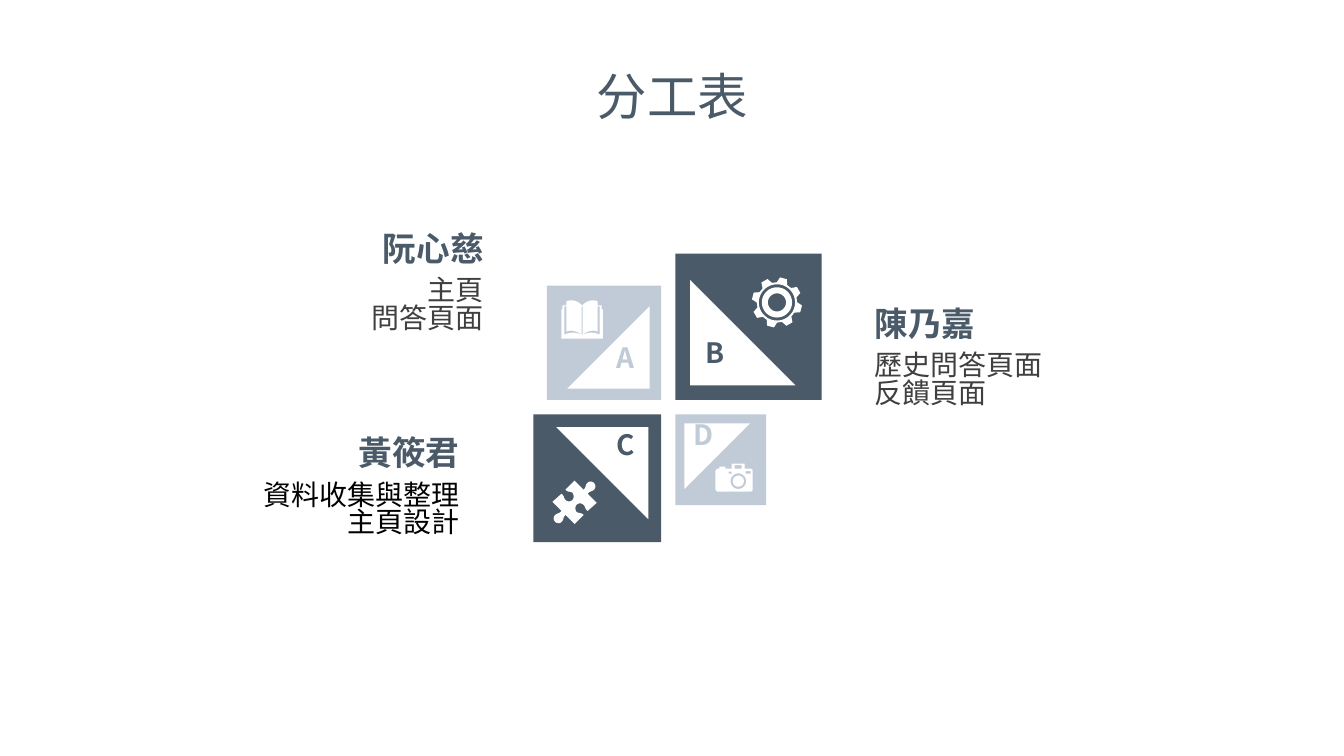
import math
from dataclasses import dataclass

from pptx import Presentation
from pptx import util as u
from pptx.dml.color import RGBColor
from pptx.enum import shapes, text
from pptx.oxml.ns import qn


@dataclass(frozen=True)
class Theme:
    """Colours, type sizes and spacing of the slide."""

    slate: str = "4A5A69"
    mist: str = "C1CBD7"
    paper: str = "FFFFFF"
    grey: str = "3F3F3F"
    black: str = "000000"
    font: str = "Noto Sans CJK SC"
    title: int = 36
    name: int = 24
    body: int = 20
    leading: float = 0.83


THEME = Theme()
HUB_X, HUB_Y, HALF_GAP = 16.84, 10.26, 0.18
UNIT = u.Cm(2.54) / 100
LEFT, RIGHT, CENTER = text.PP_ALIGN.LEFT, text.PP_ALIGN.RIGHT, text.PP_ALIGN.CENTER

PUZZLE_HALF = [
    (19, -19.5), (21, -17.5, 21, -15.5, 20, -13.5), (18, -10.5, 15, -11.5, 13, -8.5),
    (22, 0.5), (13, 8.5), (10, 6.5, 11, 4.5, 9, 2.5), (7, 0.5, 4, 0.5, 2, 2.5),
    (1, 3.5, 0, 6.5, 2, 9.5), (5, 11.5, 6, 9.5, 9, 12.5), (0, 21.5), (-9, 12.5),
    (-12, 15.5, -10, 16.5, -13, 19.5), (-15, 21.5, -18, 20.5, -19, 19.5),
]
BOOK_COVER_HALF = [
    (0, 5), (3, 2, 6, 0, 10.5, 0), (12, 0, 14, 0, 15.5, 1), (15.5, 5),
    (19.5, 5), (19.5, 9), (20.5, 9), (20.5, 38),
]
BOOK_GAP = [
    (0.5, 34), (7.5, 31.5, 10.5, 31, 17.5, 34), (17.5, 6), (15.5, 6),
    (15.5, 31), (11.5, 29, 5.5, 30, 0.5, 34),
]
CAMERA_BODY = [
    (17, 0), (28, 0), (29, 0, 29, 0, 29, 1), (29, 5), (34, 5), (36, 5, 37, 6, 37, 8),
    (37, 25), (37, 27, 36, 28, 34, 28), (3, 28), (2, 28, 0, 27, 0, 25), (0, 8),
    (0, 6, 2, 5, 3, 5), (4, 5), (4, 3), (10, 3), (10, 5), (16, 5), (16, 1),
    (16, 0, 17, 0, 17, 0),
]


def flatten(outline, steps=8):
    """Turn corners and cubic curves into a list of points."""
    points = []
    for part in outline:
        if len(part) == 2:
            points.append(part)
            continue
        nodes = [points[-1], part[:2], part[2:4], part[4:]]
        for step in range(1, steps + 1):
            t = step / steps
            weights = ((1 - t) ** 3, 3 * t * (1 - t) ** 2, 3 * t * t * (1 - t), t ** 3)
            points.append(tuple(sum(w * node[axis] for w, node in zip(weights, nodes))
                                for axis in (0, 1)))
    return points


def mirror(points):
    """Reflect points across the vertical axis, in reverse order."""
    return [(-x, y) for x, y in reversed(points)]


def polar(radius, degrees):
    """Give the point at a clockwise angle from the top."""
    angle = math.radians(degrees)
    return radius * math.sin(angle), -radius * math.cos(angle)


def circle(radius, x=0, y=0):
    """Give the points of a circle."""
    ring = [polar(radius, degrees) for degrees in range(0, 360, 10)]
    return [(x + dx, y + dy) for dx, dy in ring]


def rectangle(left, top, right, bottom):
    """Give the corners of a rectangle."""
    return [(left, top), (right, top), (right, bottom), (left, bottom)]


def book():
    """Give the contours of the open book."""
    cover, gap = flatten(BOOK_COVER_HALF), flatten(BOOK_GAP)
    return [cover + mirror(cover), gap, mirror(gap), rectangle(-0.5, 6, 0.5, 34)]


def puzzle():
    """Give the contour of the puzzle piece from one half turn."""
    half = flatten(PUZZLE_HALF)
    return [half + [(-x, -y) for x, y in half]]


def gear():
    """Give the contours of the eight-toothed gear."""
    tooth = ((20, -15.5), (25, -8), (25, 8), (20, 15.5))
    rim = [polar(radius, 15 + 45 * index + turn)
           for index in range(8) for radius, turn in tooth]
    return [rim] + [circle(radius) for radius in (18, 15, 9)]


def camera():
    """Give the contours of the camera."""
    windows = [(13, 8, 16, 10), (30, 7.5, 35, 10), (19, 1.5, 26, 5)]
    lens = [circle(radius, 22.75, 17.5) for radius in (7.75, 5.5)]
    return [flatten(CAMERA_BODY)] + lens + [rectangle(*window) for window in windows]


def paint(shape, colour):
    """Give a shape a plain fill without line or shadow."""
    shape.shadow.inherit = False
    shape.fill.solid()
    shape.fill.fore_color.rgb = RGBColor.from_string(colour)
    shape.line.fill.background()


def add_icon(page, left, top, contours):
    """Draw contours as one white outline."""
    scaled = [[(x * UNIT, y * UNIT) for x, y in contour] for contour in contours]
    builder = page.shapes.build_freeform(*scaled[0][0])
    for index, contour in enumerate(scaled):
        if index:
            builder.move_to(*contour[0])
        builder.add_line_segments(contour[1:], close=True)
    paint(builder.convert_to_shape(u.Cm(left), u.Cm(top)), THEME.paper)


def add_tile(page, side, right, below, turn, colour):
    """Draw a square with a triangle whose right angle faces the hub."""
    kinds = shapes.MSO_SHAPE
    layers = ((kinds.RECTANGLE, side, HALF_GAP, 0, colour),
              (kinds.RIGHT_TRIANGLE, 0.72 * side, HALF_GAP + 0.1 * side, turn, THEME.paper))
    for kind, size, offset, rotation, fill in layers:
        left = HUB_X + (offset if right else -offset - size)
        top = HUB_Y + (offset if below else -offset - size)
        shape = page.shapes.add_shape(kind, u.Cm(left), u.Cm(top), u.Cm(size), u.Cm(size))
        shape.rotation = rotation
        paint(shape, fill)


def add_text(page, place, lines, size, colour, align, bold=False):
    """Write lines of text in one box."""
    box = page.shapes.add_textbox(*(u.Cm(length) for length in place))
    frame = box.text_frame
    frame.word_wrap = True
    frame.margin_top = u.Cm(0.13) + u.Pt(0.08 * size)
    for index, line in enumerate(lines):
        para = frame.add_paragraph() if index else frame.paragraphs[0]
        para.alignment = align
        para.line_spacing = THEME.leading
        span = para.add_run()
        span.text = line
        span.font.size = u.Pt(size)
        span.font.bold = bold
        span.font.name = THEME.font
        span.font.color.rgb = RGBColor.from_string(colour)
        east_asian = span.font._element.makeelement(qn("a:ea"), {"typeface": THEME.font})
        span.font._element.find(qn("a:latin")).addnext(east_asian)


def add_member(page, left, top, name, tasks, align, colour):
    """Write a member's name above the tasks."""
    add_text(page, (left, top + 1.11, 8.1, 1.96), tasks, THEME.body, colour, align)
    add_text(page, (left, top, 8.1, 1.27), [name], THEME.name, THEME.slate, align, True)


def main():
    """Build the slide and save it."""
    deck = Presentation()
    deck.slide_width, deck.slide_height = u.Cm(33.87), u.Cm(19.05)
    page = deck.slides.add_slide(deck.slide_layouts[6])
    add_text(page, (14.76, 1.68, 4.37, 1.8), ["分工表"], THEME.title, THEME.slate, CENTER)

    tiles = [
        ("A", 2.88, False, False, 270, THEME.mist, 15.11, 8.53),
        ("B", 3.69, True, False, 0, THEME.slate, 17.37, 8.41),
        ("C", 3.22, False, True, 180, THEME.slate, 15.11, 10.74),
        ("D", 2.29, True, True, 90, THEME.mist, 17.07, 10.49),
    ]
    for letter, side, right, below, turn, colour, left, top in tiles:
        add_tile(page, side, right, below, turn, colour)
        add_text(page, (left, top, 1.3, 1.12), [letter], THEME.body, colour, CENTER, True)

    add_icon(page, 14.67, 7.57, book())
    add_icon(page, 14.48, 12.66, puzzle())
    add_icon(page, 19.58, 7.62, gear())
    add_icon(page, 18.03, 11.68, camera())

    add_member(page, 4.34, 5.72, "阮心慈", ["主頁", "問答頁面"], RIGHT, THEME.grey)
    add_member(page, 21.79, 7.61, "陳乃嘉", ["歷史問答頁面", "反饋頁面"], LEFT, THEME.grey)
    add_member(page, 3.73, 10.87, "黃筱君", ["資料收集與整理", "主頁設計"], RIGHT, THEME.black)
    deck.save("out.pptx")


if __name__ == "__main__":
    main()
